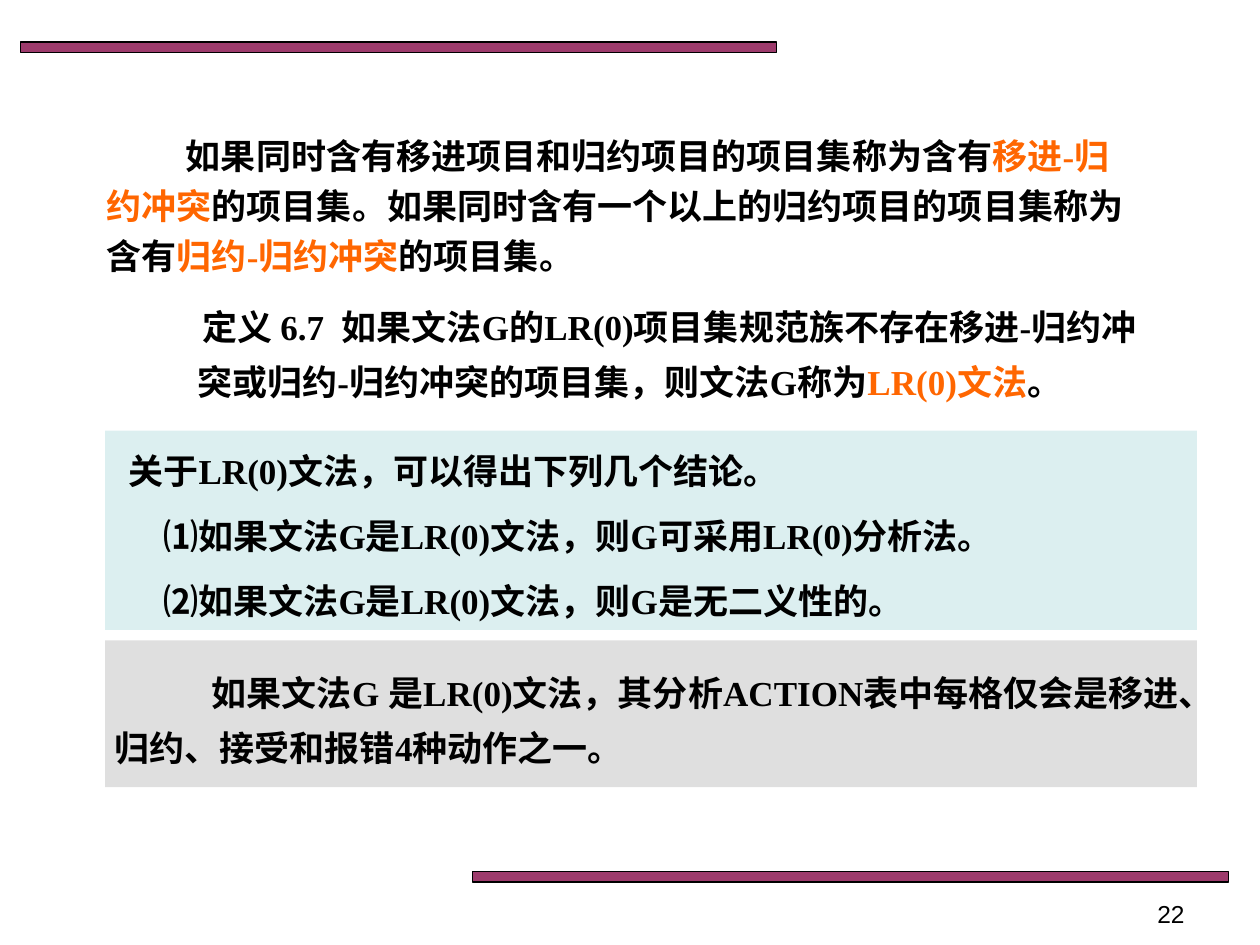
from lxml.etree import SubElement
from pptx import Presentation
from pptx.dml.color import RGBColor as Rgb
from pptx.enum.shapes import MSO_SHAPE as Shape
from pptx.enum.text import PP_ALIGN as Align
from pptx.oxml.ns import qn
from pptx.util import Cm, Pt

THEME = {
    "ink": Rgb.from_string("000000"),
    "accent": Rgb.from_string("FF6600"),
    "bar": Rgb.from_string("993366"),
    "teal": Rgb.from_string("BBE0E3"),
    "grey": Rgb.from_string("C0C0C0"),
    "body_font": "Times New Roman",
    "body_size": Pt(20),
    "number_font": "Arial",
    "number_size": Pt(14),
}

# Boxes are (left, top, width, height) in centimetres.
BAR_SIZE = (15.24, 0.21)
BAR_CORNERS = [(0.42, 0.85), (9.52, 17.57)]
PANELS = [
    ("teal", (2.12, 8.68, 22.01, 4.02)),
    ("grey", (2.12, 12.91, 22.01, 2.96)),
]
PAGE_NUMBER = ("22", (18.2, 17.99, 5.93, 0.69))

# Each paragraph is (first-line indent in cm, spans); a span is (text, colour).
TEXTS = [
    {
        "box": (1.9, 2.41, 21.39, 3.3),
        "line_spacing": 1.2,
        "space_before": 10,
        "paragraphs": [(1.6, [
            ("如果同时含有移进项目和归约项目的项目集称为含有", "ink"),
            ("移进-归约冲突", "accent"),
            ("的项目集。如果同时含有一个以上的归约项目的项目集称为含有", "ink"),
            ("归约-归约冲突", "accent"),
            ("的项目集。", "ink"),
        ])],
    },
    {
        "box": (1.9, 5.79, 21.59, 2.46),
        "align": Align.CENTER,
        "space_before": 10,
        "paragraphs": [(1.6, [
            ("定义 6.7  如果文法G的LR(0)项目集规范族不存在移进-归约冲突或"
             "归约-归约冲突的项目集，则文法G称为", "ink"),
            ("LR(0)文法", "accent"),
            ("。", "ink"),
        ])],
    },
    {
        "box": (2.06, 13.16, 22.23, 2.36),
        "space_before": 10,
        "paragraphs": [(1.96, [
            ("如果文法G 是LR(0)文法，其分析ACTION表中每格仅会是"
             "移进、归约、接受和报错4种动作之一。", "ink"),
        ])],
    },
    {
        "box": (2.34, 8.68, 21.59, 4.06),
        "space_before": 6,
        "paragraphs": [
            (0, [("关于LR(0)文法，可以得出下列几个结论。", "ink")]),
            (0.7, [("⑴如果文法G是LR(0)文法，则G可采用LR(0)分析法。", "ink")]),
            (0.7, [("⑵如果文法G是LR(0)文法，则G是无二义性的。", "ink")]),
        ],
    },
]


def add_rectangle(page, box, colour, opacity, outlined=False):
    """Add a shadowless rectangle whose fill opacity is given in percent."""
    shape = page.shapes.add_shape(Shape.RECTANGLE, *map(Cm, box))
    shape.shadow.inherit = False
    shape.fill.solid()
    shape.fill.fore_color.rgb = THEME[colour]
    colour_node = shape.fill._xPr.find(".//" + qn("a:srgbClr"))
    SubElement(colour_node, qn("a:alpha"), val=str(opacity * 1000))
    if outlined:
        shape.line.color.rgb = THEME["ink"]
        shape.line.width = Pt(0.75)
    else:
        shape.line.fill.background()


def add_text_frame(page, box):
    frame = page.shapes.add_textbox(*map(Cm, box)).text_frame
    frame.word_wrap = True
    return frame


def add_text(page, text):
    frame = add_text_frame(page, text["box"])
    for index, (indent, spans) in enumerate(text["paragraphs"]):
        para = frame.add_paragraph() if index else frame.paragraphs[0]
        para.alignment = text.get("align", Align.LEFT)
        para.line_spacing = text.get("line_spacing", 1.3)
        para.space_before = Pt(text["space_before"])
        para._p.get_or_add_pPr().set("indent", str(Cm(indent)))
        para.font.name = THEME["body_font"]
        para.font.size = THEME["body_size"]
        para.font.bold = True
        for words, colour in spans:
            span = para.add_run()
            span.text = words
            span.font.color.rgb = THEME[colour]


def add_page_number(page, number, box):
    para = add_text_frame(page, box).paragraphs[0]
    para.text = number
    para.alignment = Align.RIGHT
    para.font.name = THEME["number_font"]
    para.font.size = THEME["number_size"]
    para.font.color.rgb = THEME["ink"]


def main():
    deck = Presentation()
    deck.slide_width, deck.slide_height = Cm(25.4), Cm(19.05)
    page = deck.slides.add_slide(deck.slide_layouts[6])
    for corner in BAR_CORNERS:
        add_rectangle(page, corner + BAR_SIZE, "bar", 96, outlined=True)
    add_page_number(page, *PAGE_NUMBER)
    for colour, box in PANELS:
        add_rectangle(page, box, colour, 50)
    for text in TEXTS:
        add_text(page, text)
    deck.save("out.pptx")


if __name__ == "__main__":
    main()
